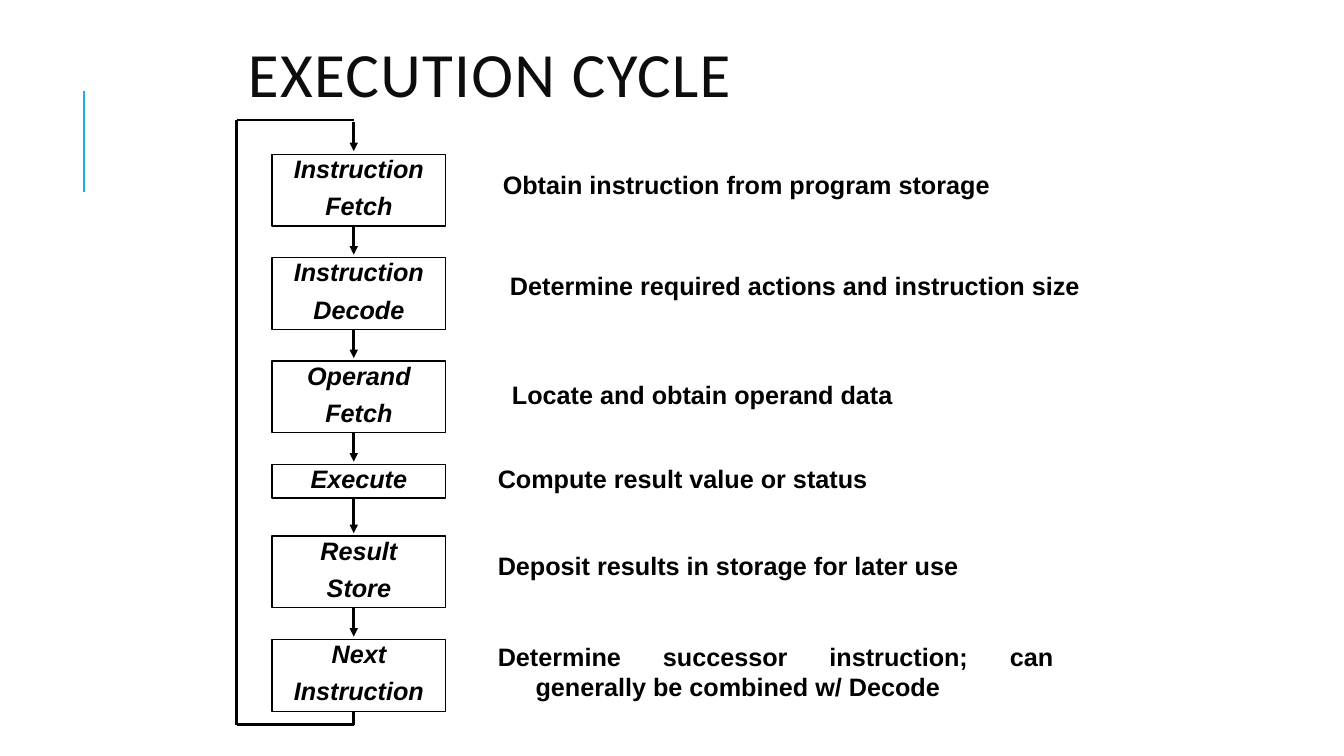
from lxml import etree
from pptx import Presentation
from pptx.dml.color import RGBColor
from pptx.enum.shapes import MSO_CONNECTOR, MSO_SHAPE
from pptx.enum.text import MSO_ANCHOR, MSO_AUTO_SIZE, PP_ALIGN
from pptx.oxml.ns import qn
from pptx.util import Pt

RECT = MSO_SHAPE.RECTANGLE
STRAIGHT = MSO_CONNECTOR.STRAIGHT
TOP, MIDDLE = MSO_ANCHOR.TOP, MSO_ANCHOR.MIDDLE
LEFT, CENTER, JUSTIFY = PP_ALIGN.LEFT, PP_ALIGN.CENTER, PP_ALIGN.JUSTIFY
FIXED = MSO_AUTO_SIZE.NONE

COLORS = {"ink": "000000", "title": "0D0D0D", "accent": "1CADE4"}
BOX_X, BOX_W = 194.4, 124
ARROW_X, LOOP_X = 252.7, 169.2
LOOP_TOP, LOOP_END = 85.7, 517.7
GAP, WIDE_GAP = 22.7, 27.3
STEPS = [
    ("Instruction\nFetch", "Obtain instruction from program storage", 354.2, 119.5, 437),
    ("Instruction\nDecode", "Determine required actions and instruction size", 359.3, 192.2, 431),
    ("Operand\nFetch", "Locate and obtain operand data", 360.7, 270, 419),
    ("Execute", "Compute result value or status", 350.6, 329.8, 419),
    ("Result\nStore", "Deposit results in storage for later use", 350.6, 391.7, 413),
    ("Next\nInstruction", "Determine successor instruction; can generally be combined w/ Decode",
     350.6, 457.2, 407),
]


class Deck:
    """Draw styled elements on one slide."""

    def __init__(self, prs):
        self.slide = prs.slides.add_slide(prs.slide_layouts[5])
        self.shapes = self.slide.shapes

    def color(self, name):
        return RGBColor.from_string(COLORS[name])

    def style(self, frame, align, spacing, size=18, font="Arial", ink="ink", bold=True, slant=False):
        frame.word_wrap = True
        frame.auto_size = FIXED
        for para in frame.paragraphs:
            para.alignment = align
            para.line_spacing = spacing
            for run in para.runs:
                run.font.name = font
                run.font.size = Pt(size)
                run.font.bold = bold
                run.font.italic = slant
                run.font.color.rgb = self.color(ink)

    def inset(self, frame):
        frame.margin_left = frame.margin_right = Pt(5)
        frame.margin_top = frame.margin_bottom = Pt(2.4)
        frame.vertical_anchor = TOP

    def title(self, text, x, y, w, h):
        shape = self.shapes.title
        shape.left, shape.top, shape.width, shape.height = Pt(x), Pt(y), Pt(w), Pt(h)
        frame = shape.text_frame
        frame.text = text
        frame.vertical_anchor = MIDDLE
        self.style(frame, LEFT, 0.8, 45, "Calibri", "title", bold=False)
        frame.paragraphs[0].runs[0].font._element.set("spc", "100")

    def box(self, text, y, h):
        shape = self.shapes.add_shape(RECT, Pt(BOX_X), Pt(y), Pt(BOX_W), Pt(h))
        shape.shadow.inherit = False
        shape.fill.background()
        shape.line.color.rgb = self.color("ink")
        shape.line.width = Pt(1)
        frame = shape.text_frame
        frame.text = text
        self.inset(frame)
        self.style(frame, CENTER, 0.86, slant=True)
        for para in frame.paragraphs[1:]:
            para.space_before = Pt(8)

    def note(self, text, x, y, w):
        frame = self.shapes.add_textbox(Pt(x), Pt(y), Pt(w), Pt(25.2)).text_frame
        frame.text = text
        self.inset(frame)
        self.style(frame, JUSTIFY, 0.97)
        props = frame.paragraphs[0]._p.get_or_add_pPr()
        props.set("marL", str(Pt(27)))
        props.set("indent", str(-Pt(27)))

    def line(self, x1, y1, x2, y2, ink="ink", width=2, head=False):
        link = self.shapes.add_connector(STRAIGHT, Pt(x1), Pt(y1), Pt(x2), Pt(y2))
        link.line.color.rgb = self.color(ink)
        link.line.width = Pt(width)
        if head:
            etree.SubElement(link.line._get_or_add_ln(), qn("a:tailEnd"), type="triangle")
        etree.SubElement(link._element.spPr, qn("a:effectLst"))


def main():
    prs = Presentation()
    prs.slide_width, prs.slide_height = Pt(960), Pt(540)
    deck = Deck(prs)
    deck.line(60, 136.8, 60, 64.8, "accent", 1.5)
    deck.title("EXECUTION CYCLE", 169.9, 33.8, 402.5, 46)

    start, top = 87.1, 110.2
    for name, note, x, y, w in STEPS:
        single = "\n" not in name
        height = 23.8 if single else 51.2
        deck.line(ARROW_X, start, ARROW_X, top - 2.2, head=True)
        deck.box(name, top, height)
        deck.note(note, x, y, w)
        start = top + height
        top = start + (WIDE_GAP if single else GAP)

    loop = [(ARROW_X, start), (ARROW_X, LOOP_END), (LOOP_X, LOOP_END),
            (LOOP_X, LOOP_TOP), (ARROW_X, LOOP_TOP)]
    for a, b in zip(loop, loop[1:]):
        deck.line(*a, *b)
    prs.save("out.pptx")


if __name__ == "__main__":
    main()
